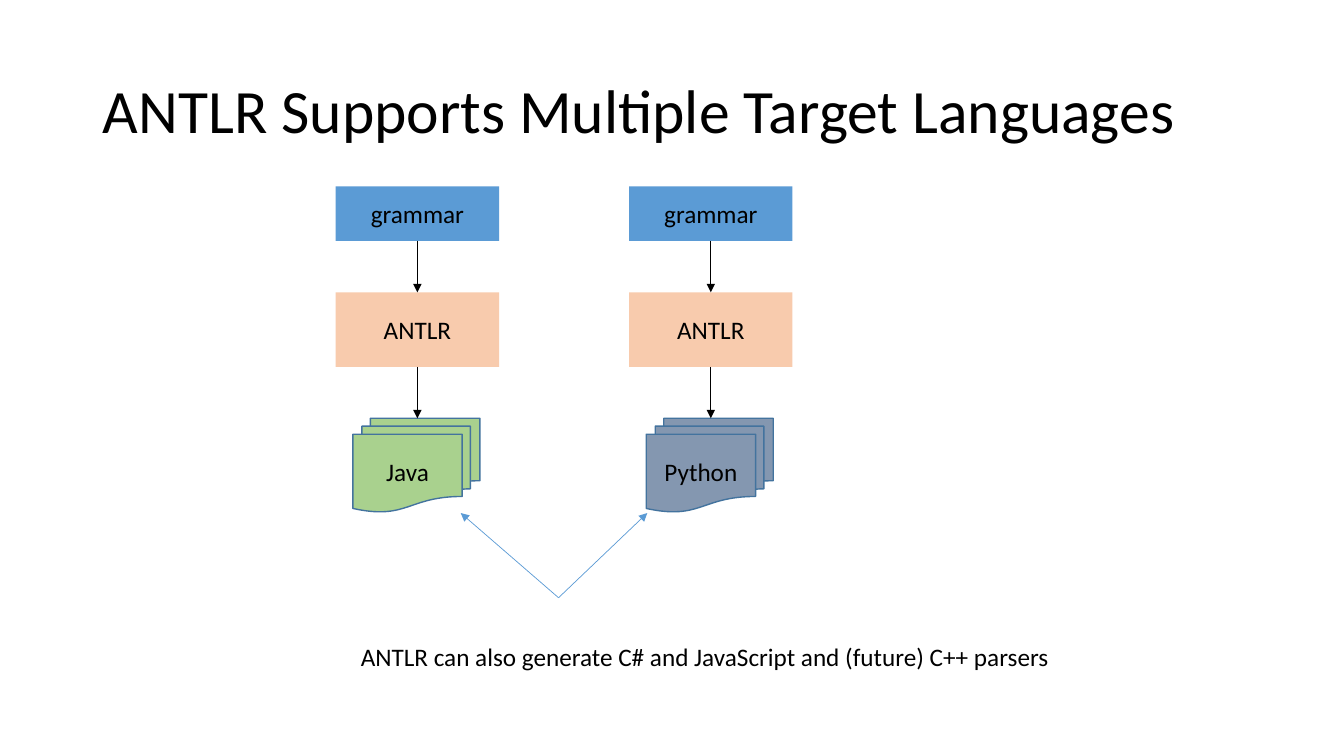
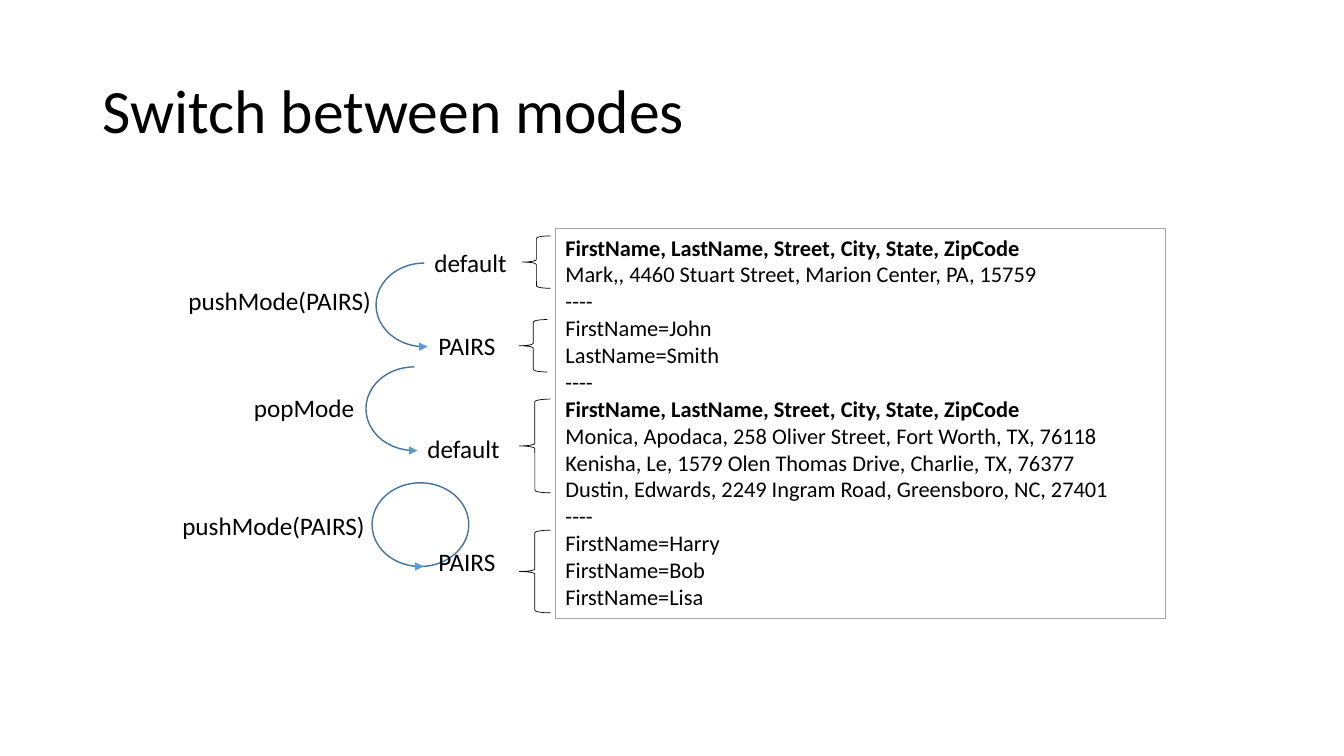
from lxml.etree import SubElement
from pptx import Presentation
from pptx.dml.color import RGBColor
from pptx.enum.shapes import MSO_CONNECTOR, MSO_SHAPE
from pptx.enum.text import MSO_ANCHOR, MSO_AUTO_SIZE, PP_ALIGN
from pptx.oxml.ns import qn
from pptx.util import Inches, Pt

COLORS = {
    "text": "000000",
    "grammar": "5B9BD5",
    "tool": "F8CBAD",
    "java": "A9D18E",
    "python": "8497B0",
    "outline": "43739E",
    "arrow": "5B9BD5",
    "frame": "A6A6A6",
}
COLORS = {name: RGBColor.from_string(value) for name, value in COLORS.items()}


def write(shape, lines, size=18, align=PP_ALIGN.LEFT, anchor=MSO_ANCHOR.TOP, bold_lines=()):
    frame = shape.text_frame
    frame.vertical_anchor = anchor
    for index, line in enumerate(lines):
        paragraph = frame.paragraphs[0] if index == 0 else frame.add_paragraph()
        paragraph.alignment = align
        run = paragraph.add_run()
        run.text = line
        run.font.name = "Calibri"
        run.font.size = Pt(size)
        run.font.bold = index in bold_lines
        run.font.color.rgb = COLORS["text"]


def add_arrow(slide, x1, y1, x2, y2, color):
    connector = slide.shapes.add_connector(
        MSO_CONNECTOR.STRAIGHT, Inches(x1), Inches(y1), Inches(x2), Inches(y2))
    connector.line.color.rgb = COLORS[color]
    connector.line.width = Pt(0.5)
    properties = connector.element.spPr
    SubElement(properties.find(qn("a:ln")), qn("a:tailEnd"), type="triangle")
    SubElement(properties, qn("a:effectLst"))
    return connector


presentation = Presentation()
presentation.slide_width = Inches(13.33)
presentation.slide_height = Inches(7.5)

slides = []
for heading in ("ANTLR Supports Multiple Target Languages", "Switch between modes"):
    slide = presentation.slides.add_slide(presentation.slide_layouts[5])
    title = slide.shapes.title
    title.left, title.top = Inches(0.92), Inches(0.4)
    title.width, title.height = Inches(11.5), Inches(1.45)
    write(title, [heading], size=44, anchor=MSO_ANCHOR.MIDDLE)
    title.text_frame.paragraphs[0].line_spacing = 0.9
    slides.append(slide)
targets_slide, modes_slide = slides

for left, language, color in ((3.33, "Java", "java"), (6.24, "Python", "python")):
    center = left + 0.81
    stages = (
        ("grammar", MSO_SHAPE.RECTANGLE, left, 1.85, 1.62, 0.54, "grammar"),
        ("ANTLR", MSO_SHAPE.RECTANGLE, left, 2.9, 1.62, 0.74, "tool"),
        (language, MSO_SHAPE.FLOWCHART_MULTIDOCUMENT, left + 0.17, 4.15, 1.26, 0.93, color),
    )
    boxes = []
    for label, kind, x, y, width, height, fill in stages:
        shape = targets_slide.shapes.add_shape(
            kind, Inches(x), Inches(y), Inches(width), Inches(height))
        shape.shadow.inherit = False
        shape.fill.solid()
        shape.fill.fore_color.rgb = COLORS[fill]
        if kind == MSO_SHAPE.RECTANGLE:
            shape.line.fill.background()
        else:
            shape.line.color.rgb = COLORS["outline"]
            shape.line.width = Pt(1)
        write(shape, [label], align=PP_ALIGN.CENTER, anchor=MSO_ANCHOR.MIDDLE)
        boxes.append(shape)
    grammar, tool, documents = boxes
    to_tool = add_arrow(targets_slide, center, 2.39, center, 2.9, "text")
    to_tool.begin_connect(grammar, 2)
    to_tool.end_connect(tool, 0)
    to_documents = add_arrow(targets_slide, center, 3.64, center, 4.15, "text")
    to_documents.begin_connect(tool, 2)

for x in (4.57, 6.42):
    add_arrow(targets_slide, 5.54, 5.93, x, 5.09, "arrow")

mode_switches = (
    (MSO_SHAPE.ARC, 3.73, 2.61),
    (MSO_SHAPE.ARC, 3.63, 3.64),
    (MSO_SHAPE.OVAL, 3.69, 4.79),
)
for kind, x, y in mode_switches:
    loop = modes_slide.shapes.add_shape(kind, Inches(x), Inches(y), Inches(0.96), Inches(0.83))
    loop.shadow.inherit = False
    loop.fill.background()
    loop.line.color.rgb = COLORS["outline"]
    loop.line.width = Pt(1)
    if kind == MSO_SHAPE.ARC:
        loop.adjustments[0] = 54
        loop.adjustments[1] = 162
    add_arrow(modes_slide, x + 0.47, y + 0.83, x + 0.51, y + 0.83, "arrow")

records = [
    "FirstName, LastName, Street, City, State, ZipCode",
    "Mark,, 4460 Stuart Street, Marion Center, PA, 15759",
    "----",
    "FirstName=John",
    "LastName=Smith",
    "----",
    "FirstName, LastName, Street, City, State, ZipCode",
    "Monica, Apodaca, 258 Oliver Street, Fort Worth, TX, 76118",
    "Kenisha, Le, 1579 Olen Thomas Drive, Charlie, TX, 76377",
    "Dustin, Edwards, 2249 Ingram Road, Greensboro, NC, 27401",
    "----",
    "FirstName=Harry",
    "FirstName=Bob",
    "FirstName=Lisa",
]
data_box = modes_slide.shapes.add_shape(
    MSO_SHAPE.RECTANGLE, Inches(5.51), Inches(2.27), Inches(6.05), Inches(3.87))
data_box.shadow.inherit = False
data_box.fill.background()
data_box.line.color.rgb = COLORS["frame"]
data_box.line.width = Pt(0.75)
data_box.text_frame.word_wrap = True
data_box.text_frame.auto_size = MSO_AUTO_SIZE.SHAPE_TO_FIT_TEXT
write(data_box, records, size=16, bold_lines=(0, 6))

braces = (
    (5.18, 2.34, 0.28, 0.52),
    (5.15, 3.17, 0.28, 0.52),
    (5.15, 3.96, 0.31, 0.93),
    (5.15, 5.26, 0.31, 0.82),
)
for x, y, width, height in braces:
    brace = modes_slide.shapes.add_shape(
        MSO_SHAPE.LEFT_BRACE, Inches(x), Inches(y), Inches(width), Inches(height))
    brace.shadow.inherit = False
    brace.fill.background()
    brace.line.color.rgb = COLORS["text"]
    brace.line.width = Pt(0.5)

labels = (
    (targets_slide, "ANTLR can also generate C# and JavaScript and (future) C++ parsers", 3.48, 6.31, 7.17),
    (modes_slide, "default", 4.21, 2.4, 0.93),
    (modes_slide, "PAIRS", 4.25, 3.23, 0.77),
    (modes_slide, "default", 4.14, 4.25, 0.93),
    (modes_slide, "PAIRS", 4.25, 5.37, 0.77),
    (modes_slide, "pushMode(PAIRS)", 1.77, 2.78, 2.03),
    (modes_slide, "popMode", 2.42, 3.84, 1.21),
    (modes_slide, "pushMode(PAIRS)", 1.71, 5.01, 2.03),
)
for slide, text, x, y, width in labels:
    label = slide.shapes.add_textbox(Inches(x), Inches(y), Inches(width), Inches(0.4))
    label.text_frame.word_wrap = False
    label.text_frame.auto_size = MSO_AUTO_SIZE.SHAPE_TO_FIT_TEXT
    write(label, [text])

presentation.save("out.pptx")
